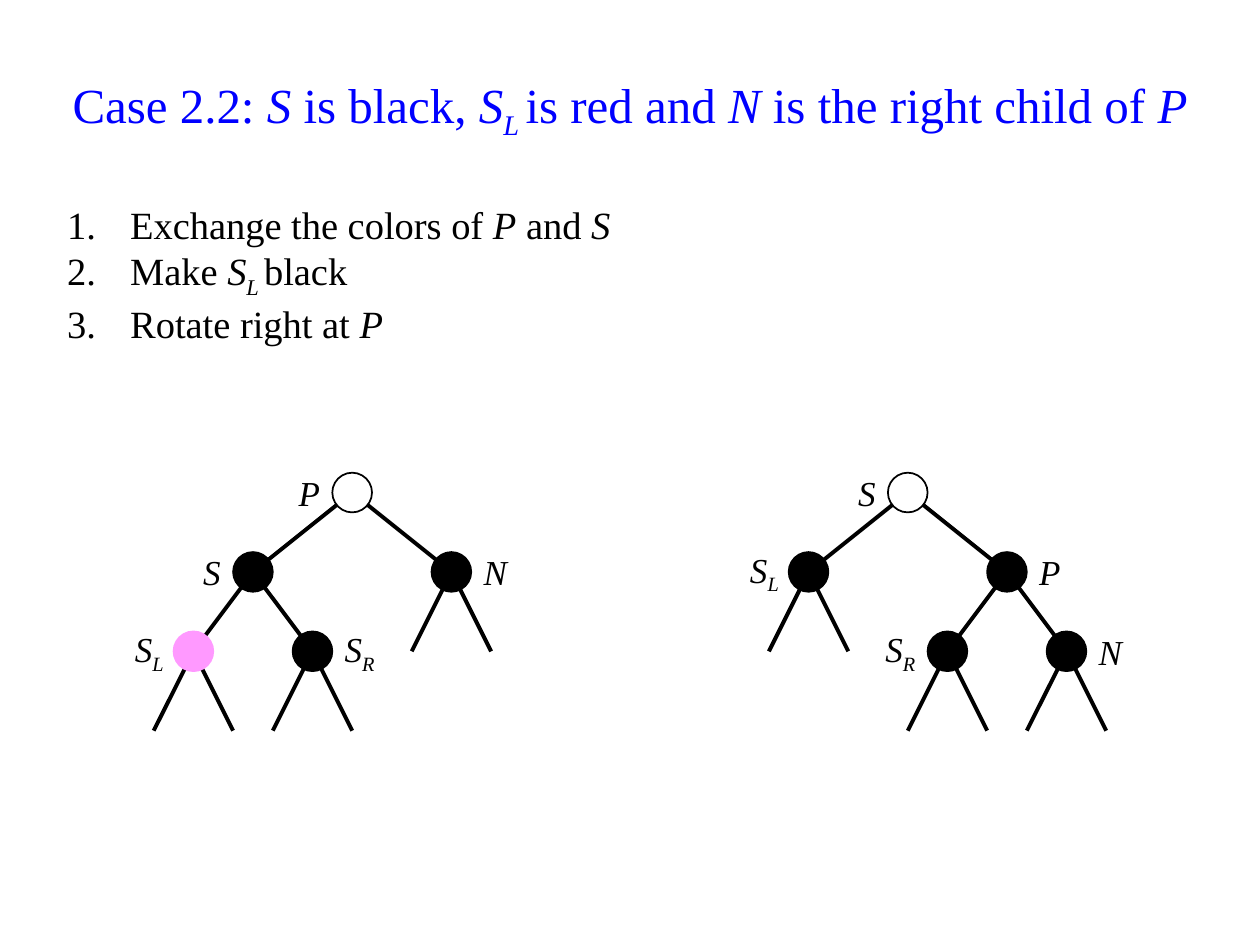
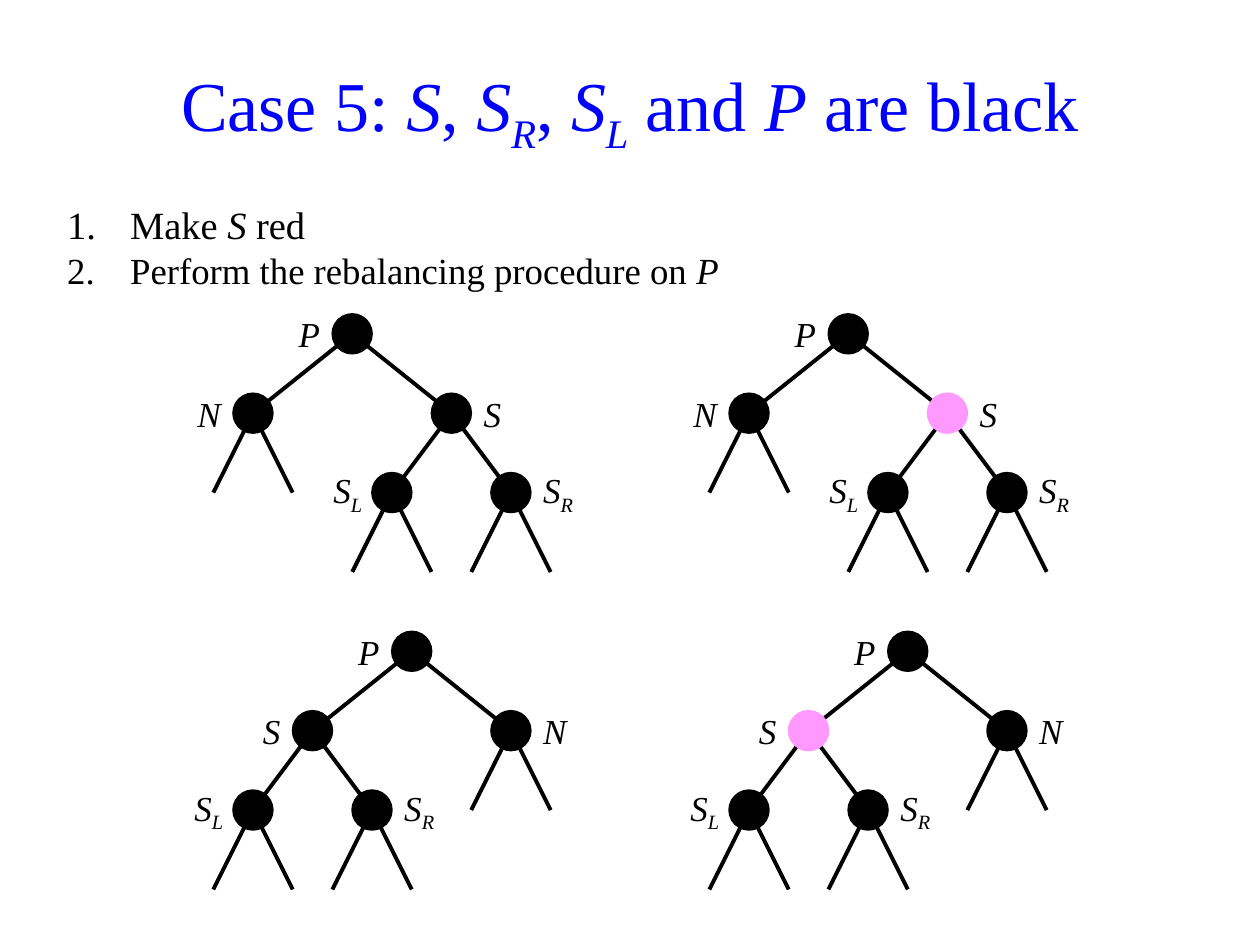
from lxml.etree import SubElement
from pptx import Presentation
from pptx.dml.color import RGBColor as RGB
from pptx.enum.shapes import MSO_CONNECTOR as LINK, MSO_SHAPE as SHAPE
from pptx.enum.text import MSO_ANCHOR as ANCHOR, MSO_AUTO_SIZE as AUTO, PP_ALIGN as ALIGN
from pptx.oxml.ns import qn
from pptx.util import Cm, Pt

FONT = "Times New Roman"
HUES = {"title": "0000FF", "black": "000000", "white": "FFFFFF", "red": "FF99FF"}
UNIT = 0.4
DROP = 4 * UNIT
SPREAD = (5 * UNIT, 3 * UNIT)
STUB = 2 * UNIT
LEFT, RIGHT = -1, 1


def hue(name):
    """Look up a colour by name."""
    return RGB.from_string(HUES[name])


def place(shape, box):
    """Move a shape to a box of left, top, width and height."""
    shape.left, shape.top, shape.width, shape.height = map(Cm, box)


def write(para, text, size, tint="black"):
    """Fill a paragraph; *x_y* is italic x with y as subscript."""
    font = para.font
    font.name, font.size, font.color.rgb = FONT, Pt(size), hue(tint)
    for i, part in enumerate(text.split("*")):
        base, _, sub = part.partition("_")
        for piece, low in ((base, False), (sub, True)):
            if piece:
                run = para.add_run()
                run.text = piece
                run.font.italic = i % 2 == 1
                if low:
                    run._r.get_or_add_rPr().set("baseline", "-25000")


def head(slide, text, size, box):
    """Write the slide title."""
    title = slide.shapes.title
    place(title, box)
    frame = title.text_frame
    frame.auto_size, frame.vertical_anchor = AUTO.NONE, ANCHOR.MIDDLE
    para = frame.paragraphs[0]
    para.alignment, para.line_spacing = ALIGN.CENTER, 0.9
    write(para, text, size, "title")


def steps(slide, items, box):
    """Write the numbered steps, each a text and a size."""
    body = slide.placeholders[1]
    place(body, box)
    frame = body.text_frame
    frame.auto_size = AUTO.NONE
    for i, (text, size) in enumerate(items):
        para = frame.add_paragraph() if i else frame.paragraphs[0]
        para.space_before = Pt(0)
        props = para._p.get_or_add_pPr()
        props.set("marL", str(Cm(1.27)))
        props.set("indent", str(-Cm(1.27)))
        SubElement(props, qn("a:buFont"), typeface="+mj-lt")
        SubElement(props, qn("a:buAutoNum"), type="arabicPeriod")
        write(para, text, size)


def edge(slide, x, y, end):
    """Draw a branch one level down to the given x."""
    line = slide.shapes.add_connector(LINK.STRAIGHT, Cm(x), Cm(y), Cm(end), Cm(y + DROP))
    line.line.color.rgb, line.line.width = hue("black"), Pt(2.25)
    SubElement(line._element.spPr, qn("a:effectLst"))


def label(slide, text, x, y, side):
    """Write a node's name on its outer side."""
    wide = 3 * UNIT
    left = x + UNIT if side == RIGHT else x - UNIT - wide
    box = slide.shapes.add_textbox(Cm(left), Cm(y - DROP / 2), Cm(wide), Cm(DROP))
    frame = box.text_frame
    frame.word_wrap, frame.vertical_anchor = True, ANCHOR.MIDDLE
    if text == "S_L":
        frame.margin_right = Cm(0.2)
    para = frame.paragraphs[0]
    para.alignment = ALIGN.LEFT if side == RIGHT else ALIGN.RIGHT
    write(para, f"*{text}*", 20)


def tree(slide, node, x, y, side=LEFT, depth=0):
    """Draw a node at its centre, with all that hangs below it."""
    name, tint, *kids = node
    gap = SPREAD[depth] if kids else STUB
    for way in (LEFT, RIGHT):
        edge(slide, x, y, x + way * gap)
    for way, kid in zip((LEFT, RIGHT), kids):
        tree(slide, kid, x + way * gap, y + DROP, way, depth + 1)
    dot = slide.shapes.add_shape(
        SHAPE.OVAL, Cm(x - UNIT), Cm(y - UNIT), Cm(2 * UNIT), Cm(2 * UNIT))
    dot.shadow.inherit = False
    dot.fill.solid()
    dot.fill.fore_color.rgb = hue(tint)
    dot.line.color.rgb = hue("black" if tint == "white" else tint)
    dot.line.width = Pt(1)
    label(slide, name, x, y, side)


def case(deck, title, size, items, trees):
    """Add a slide with a title, steps and trees at their roots."""
    slide = deck.slides.add_slide(deck.slide_layouts[1])
    head(slide, title, size, (1.1, 0.73, 23.2, 2.8))
    steps(slide, items, (1.1, 3.93, 23.2, 0.8 + 0.8 * len(items)))
    for node, x, y in trees:
        tree(slide, node, x, y)


def main():
    """Build both cases."""
    deck = Presentation()
    deck.slide_width, deck.slide_height = Cm(25.4), Cm(19.05)
    n, low, high = ("N", "black"), ("S_L", "black"), ("S_R", "black")
    case(deck, "Case 2.2: *S* is black, *S_L *is red and *N* is the right child of *P*", 28,
         [("Exchange the colors of *P* and *S*", 22), ("Make *S_L *black", 22),
          ("Rotate right at *P*", 22)],
         [(("P", "white", ("S", "black", ("S_L", "red"), high), n), 7.1, 9.93),
          (("S", "white", low, ("P", "black", high, n)), 18.3, 9.93)])
    pairs = []
    for shift, tint in ((0, "black"), (10, "red")):
        s = ("S", tint, low, high)
        pairs += [(("P", "black", n, s), 7.1 + shift, 6.73),
                  (("P", "black", s, n), 8.3 + shift, 13.13)]
    case(deck, "Case 5: *S*, *S_R*, *S_L* and *P* are black", 40,
         [("Make *S *red", 22), ("Perform the rebalancing procedure on *P*", 21)], pairs)
    deck.save("out.pptx")


if __name__ == "__main__":
    main()
